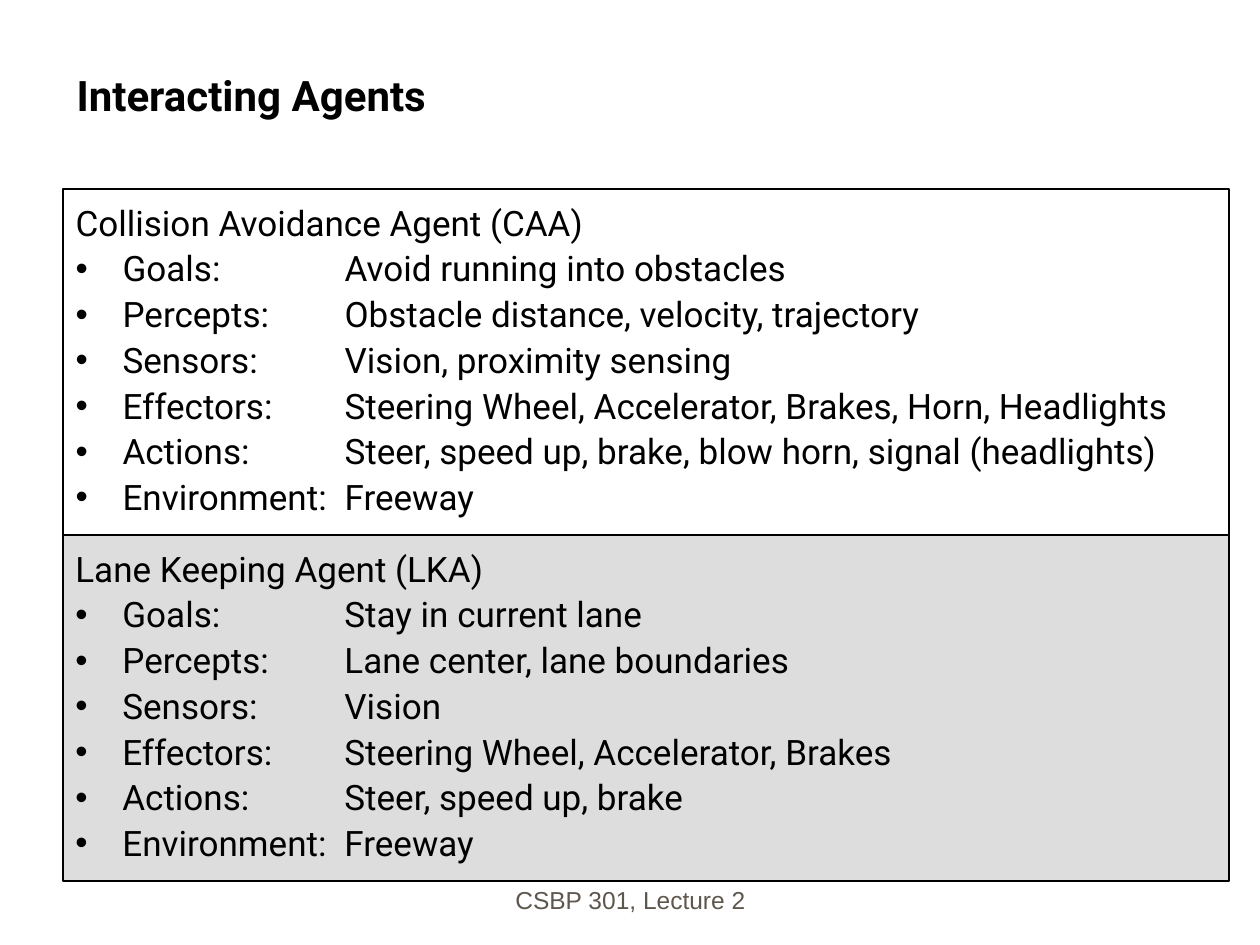
from lxml.etree import SubElement
from pptx import Presentation
from pptx.dml.color import RGBColor
from pptx.enum.shapes import MSO_SHAPE
from pptx.enum.text import MSO_ANCHOR, MSO_AUTO_SIZE, PP_ALIGN
from pptx.oxml.ns import qn
from pptx.util import Pt

PX = 914400 / 126
COLORS = {"text": "000000", "line": "000000", "shade": "DDDDDD", "footer": "5E574E"}
FONT = "Roboto"
HANG, VALUE_STOP = 47, 269

COLLISION_AVOIDANCE = ("Collision Avoidance Agent (CAA)", {
    "Goals": "Avoid running into obstacles",
    "Percepts": "Obstacle distance, velocity, trajectory",
    "Sensors": "Vision, proximity sensing",
    "Effectors": "Steering Wheel, Accelerator, Brakes, Horn, Headlights",
    "Actions": "Steer, speed up, brake, blow horn, signal (headlights)",
    "Environment": "Freeway",
})
LANE_KEEPING = ("Lane Keeping Agent (LKA)", {
    "Goals": "Stay in current lane",
    "Percepts": "Lane center, lane boundaries",
    "Sensors": "Vision",
    "Effectors": "Steering Wheel, Accelerator, Brakes",
    "Actions": "Steer, speed up, brake",
    "Environment": "Freeway",
})


def px(length):
    return round(length * PX)


def color(name):
    return RGBColor.from_string(COLORS[name])


def place(shape, box):
    shape.left, shape.top, shape.width, shape.height = map(px, box)


def add_run(paragraph, text, size, font=FONT, ink="text", bold=False):
    run = paragraph.add_run()
    run.text = text
    run.font.size = Pt(size)
    run.font.name = font
    run.font.bold = bold
    run.font.color.rgb = color(ink)


def format_line(paragraph, bulleted):
    """Set spacing, hanging indent, bullet and the stop where values start."""
    paragraph.alignment = PP_ALIGN.LEFT
    paragraph.line_spacing = 0.9
    paragraph.space_before = Pt(4.5)
    properties = paragraph._p.get_or_add_pPr()
    properties.set("marL", str(px(HANG)))
    properties.set("indent", str(-px(HANG)))
    if not bulleted:
        SubElement(properties, qn("a:buNone"))
        return
    bullet_color = SubElement(properties, qn("a:buClr"))
    SubElement(bullet_color, qn("a:srgbClr"), val=COLORS["text"])
    SubElement(properties, qn("a:buFont"), typeface="Arial")
    SubElement(properties, qn("a:buChar"), char="•")
    stops = SubElement(properties, qn("a:tabLst"))
    SubElement(stops, qn("a:tab"), pos=str(px(VALUE_STOP)), algn="l")


def fill_title(title, box):
    place(title, box)
    frame = title.text_frame
    frame.auto_size = MSO_AUTO_SIZE.NONE
    frame.vertical_anchor = MSO_ANCHOR.BOTTOM
    heading = frame.paragraphs[0]
    heading.alignment = PP_ALIGN.LEFT
    add_run(heading, "Interacting Agents", 24, bold=True)


def fill_agent_panel(panel, box, agent, shade=None):
    place(panel, box)
    panel.line.color.rgb = color("line")
    panel.line.width = Pt(0.75)
    if shade:
        panel.fill.solid()
        panel.fill.fore_color.rgb = color(shade)
    frame = panel.text_frame
    frame.word_wrap = True
    frame.auto_size = MSO_AUTO_SIZE.NONE
    frame.vertical_anchor = MSO_ANCHOR.TOP
    frame.margin_top = px(17)
    name, traits = agent
    heading = frame.paragraphs[0]
    format_line(heading, bulleted=False)
    add_run(heading, name, 20)
    for trait, value in traits.items():
        line = frame.add_paragraph()
        format_line(line, bulleted=True)
        add_run(line, f"{trait}:\t{value}", 20)


def add_footer(slide, box):
    frame = slide.shapes.add_textbox(*map(px, box)).text_frame
    frame.word_wrap = True
    frame.vertical_anchor = MSO_ANCHOR.BOTTOM
    course = frame.paragraphs[0]
    course.alignment = PP_ALIGN.CENTER
    add_run(course, "CSBP 301, Lecture 2", 14, font="Arial", ink="footer")


def main():
    deck = Presentation()
    deck.slide_width, deck.slide_height = px(1260), px(945)
    slide = deck.slides.add_slide(deck.slide_layouts[1])
    left, top, width, height = 63, 189, 1166, 346

    add_footer(slide, (431, 858, 399, 63))
    fill_title(slide.shapes.title, (64, 32, 1124, 94))
    fill_agent_panel(slide.placeholders[1], (left, top, width, height), COLLISION_AVOIDANCE)
    lane_panel = slide.shapes.add_shape(MSO_SHAPE.RECTANGLE, 0, 0, 0, 0)
    lane_panel.shadow.inherit = False
    fill_agent_panel(lane_panel, (left, top + height, width, height), LANE_KEEPING, "shade")
    deck.save("out.pptx")


if __name__ == "__main__":
    main()
